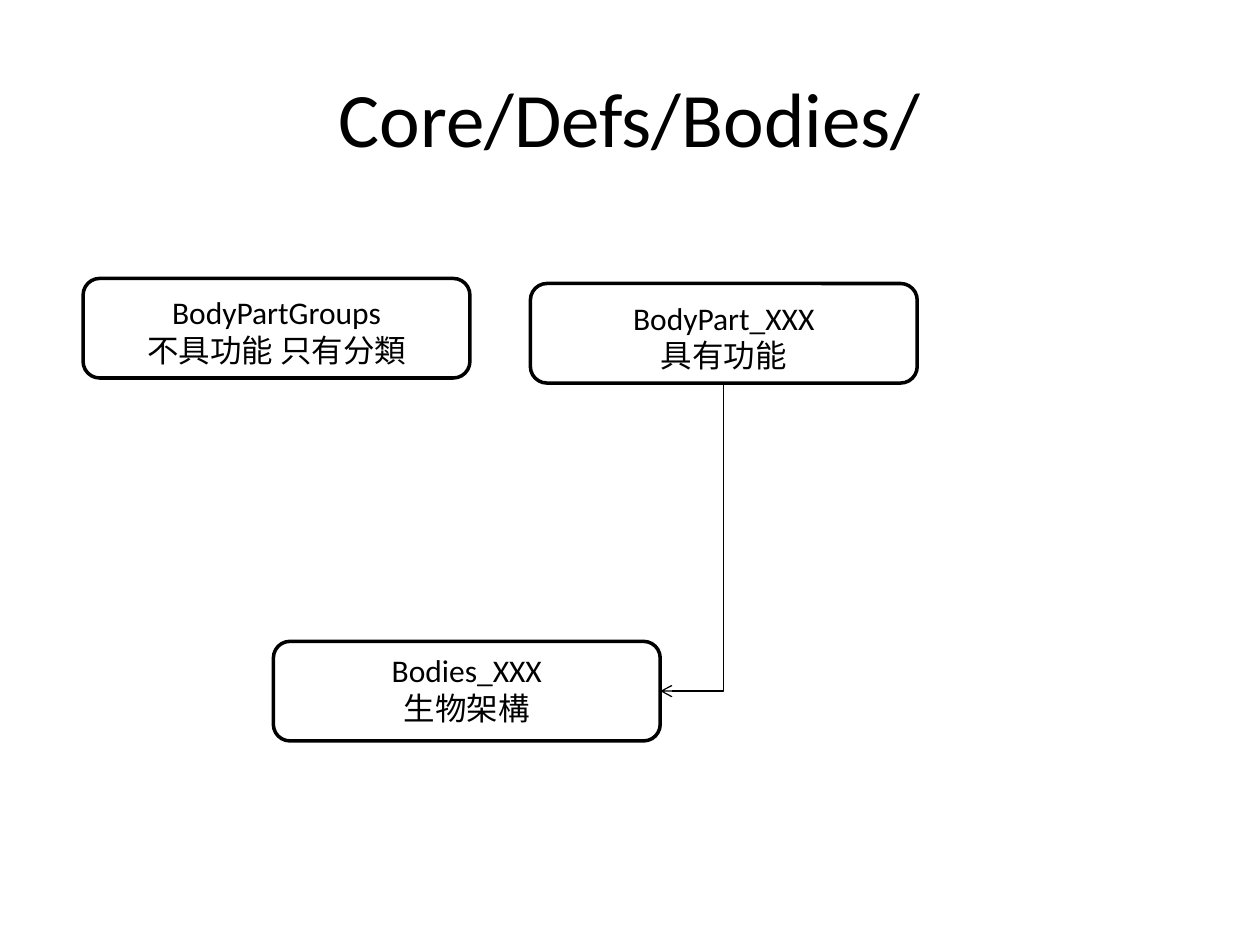
from lxml import etree
from pptx import Presentation
from pptx.dml.color import RGBColor
from pptx.enum.shapes import MSO_CONNECTOR as CONN, MSO_SHAPE as SHAPE
from pptx.enum.text import MSO_ANCHOR as ANCHOR, MSO_AUTO_SIZE as FIT, PP_ALIGN as ALIGN
from pptx.oxml.ns import qn
from pptx.util import Inches, Pt

COLORS = {"ink": "000000"}
INK = RGBColor.from_string(COLORS["ink"])

prs = Presentation()
prs.slide_width, prs.slide_height = Inches(10), Inches(7.5)
s = prs.slides.add_slide(prs.slide_layouts[6])

# Grid: 100 columns by 75 rows
COL, ROW = prs.slide_width / 100, prs.slide_height / 75


def grid(x, y, w, h):
    return [int(v) for v in (x * COL, y * ROW, w * COL, h * ROW)]


def add_text(box, lines, size, **frame):
    tf = s.shapes.add_textbox(*grid(*box)).text_frame
    for name, value in frame.items():
        setattr(tf, name, value)
    for i, line in enumerate(lines):
        p = tf.paragraphs[0] if i == 0 else tf.add_paragraph()
        p.alignment = ALIGN.CENTER
        r = p.add_run()
        r.text = line
        for name, value in {"size": Pt(size), "name": "Calibri"}.items():
            setattr(r.font, name, value)
        r.font.color.rgb = INK


# Title
add_text((5, 3, 90, 12.5), ["Core/Defs/Bodies/"], 44,
         word_wrap=True, vertical_anchor=ANCHOR.MIDDLE)

# Nodes: left, top, label top, label width, label lines
BOX_W, BOX_H, LABEL_H = 30.7, 7.9, 7.1
nodes = [
    (6.6, 22.1, 22.8, 22.8, ["BodyPartGroups", "不具功能 只有分類"]),
    (42.1, 22.5, 23.2, 16.6, ["BodyPart_XXX", "具有功能"]),
    (21.7, 50.9, 51.2, 14.6, ["Bodies_XXX", "生物架構"]),
]
for x, y, label_y, label_w, lines in nodes:
    sp = s.shapes.add_shape(SHAPE.ROUNDED_RECTANGLE, *grid(x, y, BOX_W, BOX_H))
    sp.shadow.inherit = False
    sp.fill.background()
    sp.line.color.rgb = INK
    sp.line.width = Pt(2)
    label_x = x + (BOX_W - label_w) / 2
    add_text((label_x, label_y, label_w, LABEL_H), lines, 18,
             word_wrap=False, auto_size=FIT.SHAPE_TO_FIT_TEXT)

# Elbow arrow from the bottom of BodyPart_XXX to the right side of Bodies_XXX
(_, part, body) = nodes
x1, y1 = part[0] + BOX_W / 2, part[1] + BOX_H
x2, y2 = body[0] + BOX_W, body[1] + BOX_H / 2
run, rise = y2 - y1, x1 - x2
mid_x, mid_y = (x1 + x2) / 2, (y1 + y2) / 2
left, top, w, h = grid(mid_x - run / 2, mid_y - rise / 2, run, rise)
arrow = s.shapes.add_connector(CONN.ELBOW, left, top, left + w, top + h)
arrow.line.color.rgb = INK
arrow.line.width = Pt(0.75)
pr = arrow.line._get_or_add_ln().getparent()
pr.find(qn("a:xfrm")).set("rot", str(90 * 60000))
pr.find(qn("a:prstGeom")).set("prst", "bentConnector2")
etree.SubElement(pr.find(qn("a:ln")), qn("a:tailEnd"), type="arrow")
etree.SubElement(pr, qn("a:effectLst"))

prs.save("out.pptx")
